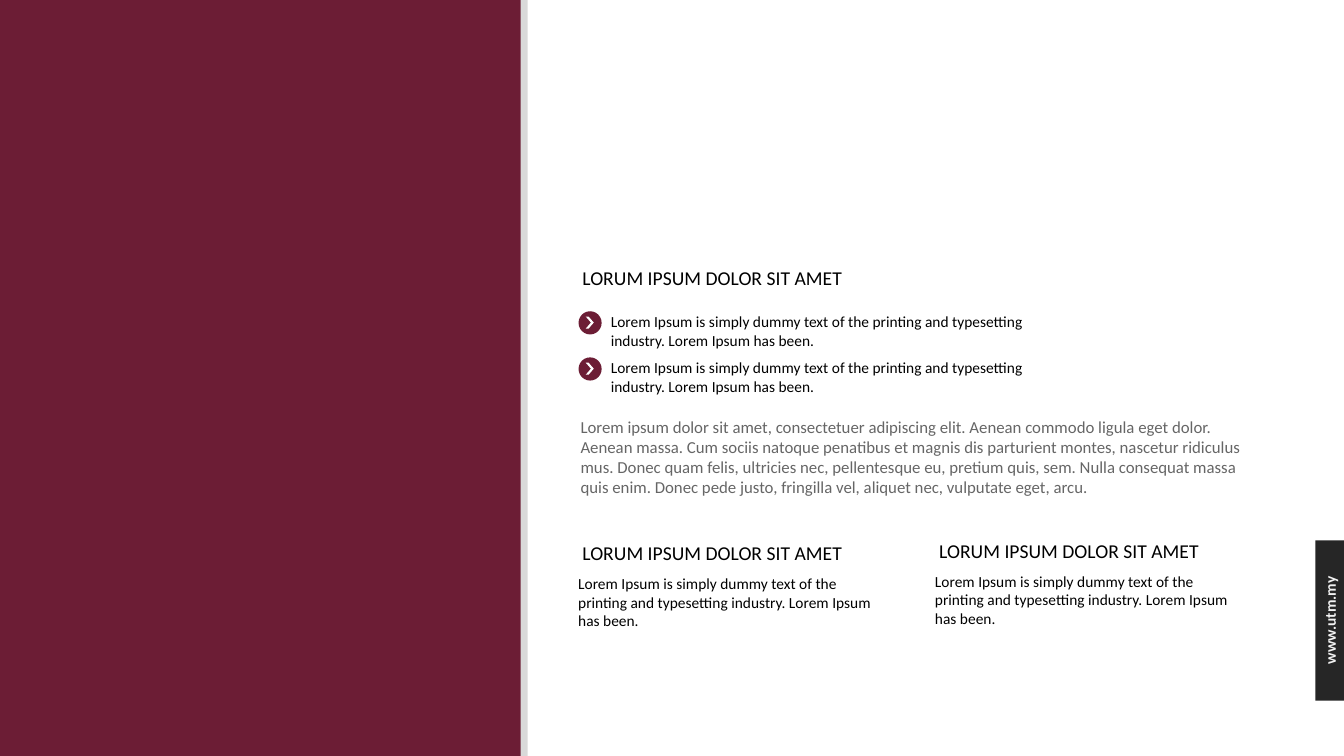
from pptx import Presentation
from pptx.dml.color import RGBColor
from pptx.enum.shapes import MSO_SHAPE
from pptx.enum.text import MSO_ANCHOR, PP_ALIGN
from pptx.util import Inches, Pt

RECT, OVAL, CHEVRON = MSO_SHAPE.RECTANGLE, MSO_SHAPE.OVAL, MSO_SHAPE.CHEVRON
TOP, CENTER, LEFT = MSO_ANCHOR.TOP, PP_ALIGN.CENTER, PP_ALIGN.LEFT
WIDTH, HEIGHT = Inches(13.333), Inches(7.5)
FONT = "Calibri"
COLORS = {
    "maroon": "6C1D35", "edge": "D9D9D9", "tab": "262626", "url": "F2F2F2",
    "white": "FFFFFF", "text": "000000", "muted": "666666",
}
HEADING = "LORUM IPSUM DOLOR SIT AMET"
BLURB = ("Lorem Ipsum is simply dummy text of the printing and typesetting "
         "industry. Lorem Ipsum has been.")
BODY = ("Lorem ipsum dolor sit amet, consectetuer adipiscing elit. Aenean commodo "
        "ligula eget dolor. Aenean massa. Cum sociis natoque penatibus et magnis dis "
        "parturient montes, nascetur ridiculus mus. Donec quam felis, ultricies nec, "
        "pellentesque eu, pretium quis, sem. Nulla consequat massa quis enim. Donec "
        "pede justo, fringilla vel, aliquet nec, vulputate eget, arcu.")


def place(x, y, w, h):
    """Turn percentages of the slide into left, top, width and height."""
    return (int(WIDTH * x / 100), int(HEIGHT * y / 100),
            int(WIDTH * w / 100), int(HEIGHT * h / 100))


def add_block(s, kind, box, color):
    sp = s.shapes.add_shape(kind, *place(*box))
    sp.shadow.inherit = False
    sp.fill.solid()
    sp.fill.fore_color.rgb = RGBColor.from_string(COLORS[color])
    sp.line.fill.background()
    return sp


def add_text(s, text, box, size, color="text", inset=0, wrap=True, align=LEFT, bold=False):
    sp = s.shapes.add_textbox(*place(*box))
    tf = sp.text_frame
    tf.word_wrap = wrap
    tf.vertical_anchor = TOP
    tf.margin_left = tf.margin_right = Inches(inset)
    tf.text = text
    p = tf.paragraphs[0]
    p.alignment = align
    font = p.runs[0].font
    font.name, font.size, font.bold = FONT, Pt(size), bold
    font.color.rgb = RGBColor.from_string(COLORS[color])
    return sp


def add_heading(s, x, y):
    add_text(s, HEADING, (x, y, 21, 4.53), 14, inset=0.1, wrap=False)


def add_bullet(s, y):
    """Blurb with a chevron disc to its left."""
    add_text(s, BLURB, (45.45, y, 33.38, 6.27), 11)
    add_block(s, OVAL, (43.05, y + 0.5, 1.72, 3.07), "maroon")
    chevron = add_block(s, CHEVRON, (43.58, y + 1.2, 0.6, 1.6), "white")
    chevron.adjustments[0] = 0.65


def add_column(s, x, y):
    """Heading with a short blurb below it."""
    add_heading(s, x, y)
    add_text(s, BLURB, (x + 0.42, y + 4.35, 23.1, 6.27), 11)


def add_frame(s):
    """Side panel, its edge and the web address tab."""
    add_block(s, RECT, (0, 0, 38.78, 100), "maroon")
    add_block(s, RECT, (38.74, 0, 0.53, 100), "edge")
    add_block(s, RECT, (97.88, 71.47, 2.12, 21.2), "tab")
    url = add_text(s, "www.utm.my", (93.3, 80.13, 11.33, 3.87), 11, "url",
                   inset=0.1, align=CENTER, bold=True)
    url.rotation = 270


def main():
    prs = Presentation()
    prs.slide_width, prs.slide_height = WIDTH, HEIGHT
    s = prs.slides.add_slide(prs.slide_layouts[6])
    add_frame(s)
    add_heading(s, 42.6, 34.53)
    for row in range(2):
        add_bullet(s, 40.67 + 6.1 * row)
    for x, y in ((42.6, 70.95), (69.15, 70.65)):
        add_column(s, x, y)
    add_text(s, BODY, (43.2, 54.4, 49.5, 14.8), 12, "muted")
    prs.save("out.pptx")


if __name__ == "__main__":
    main()
